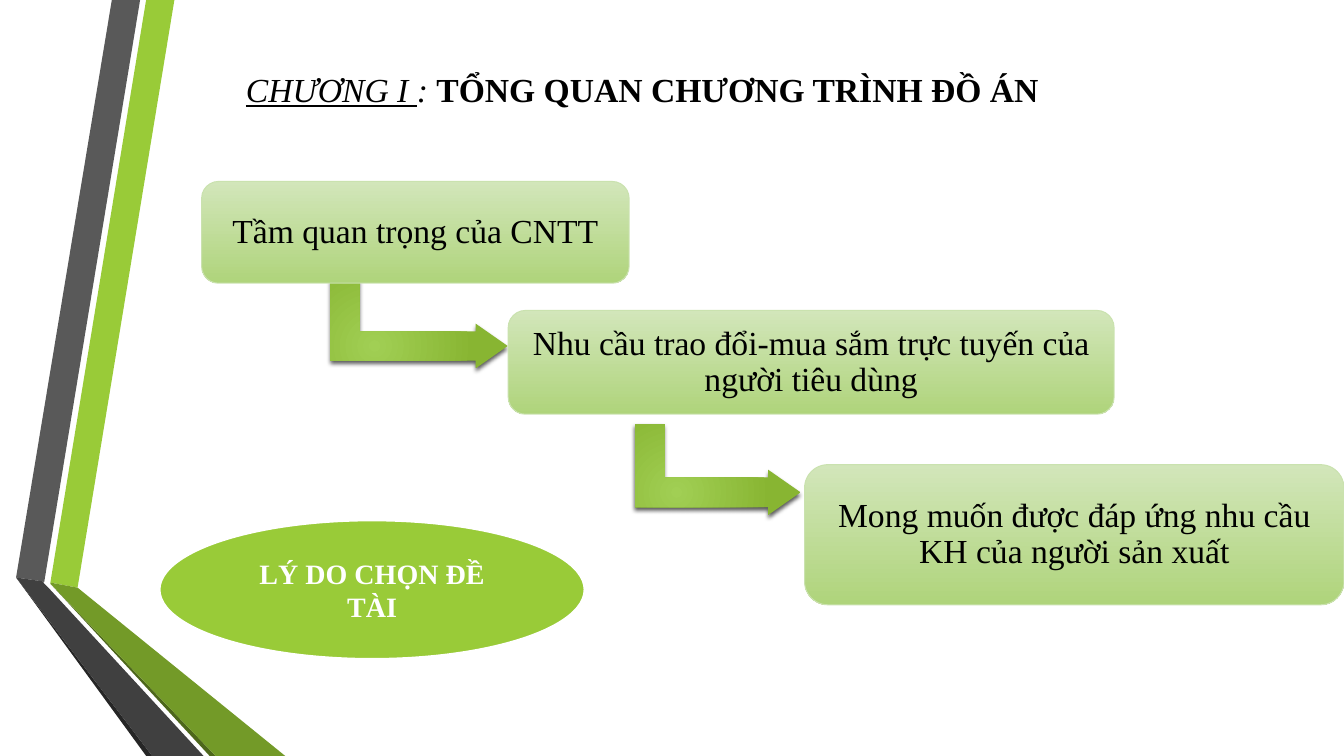
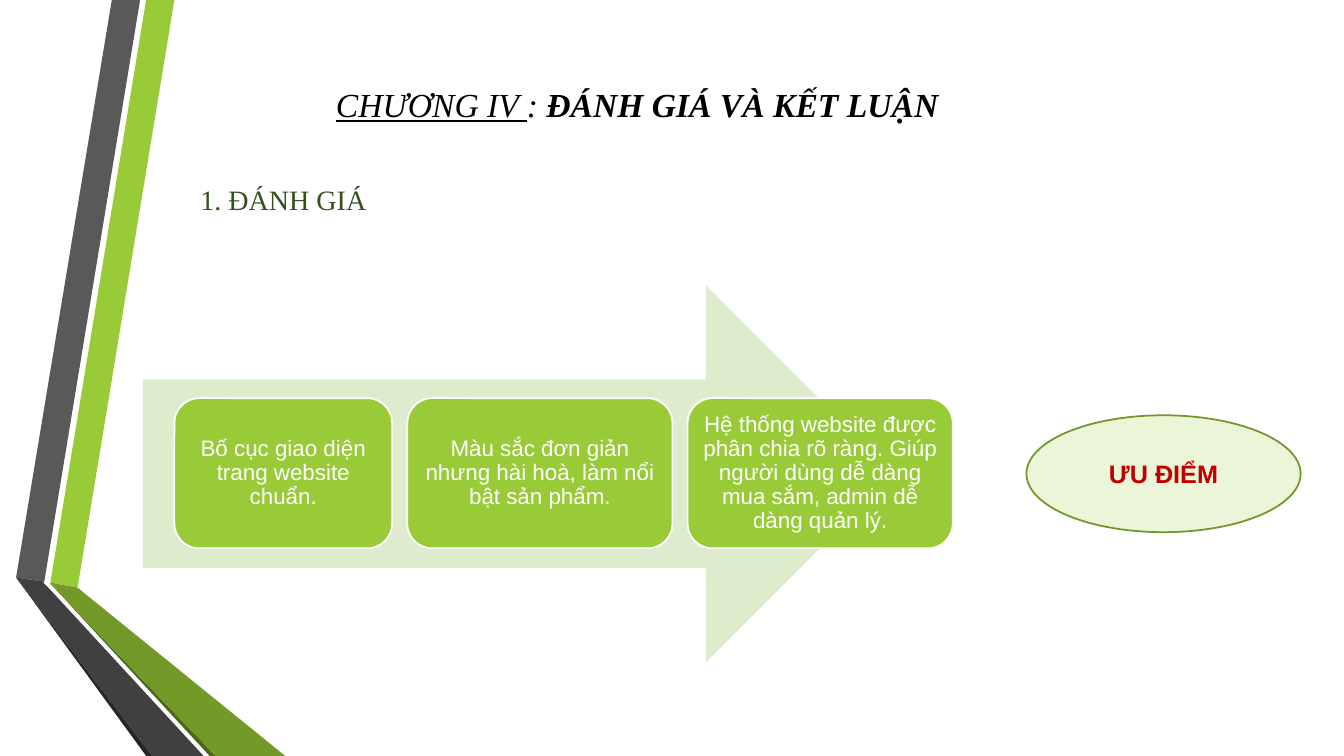
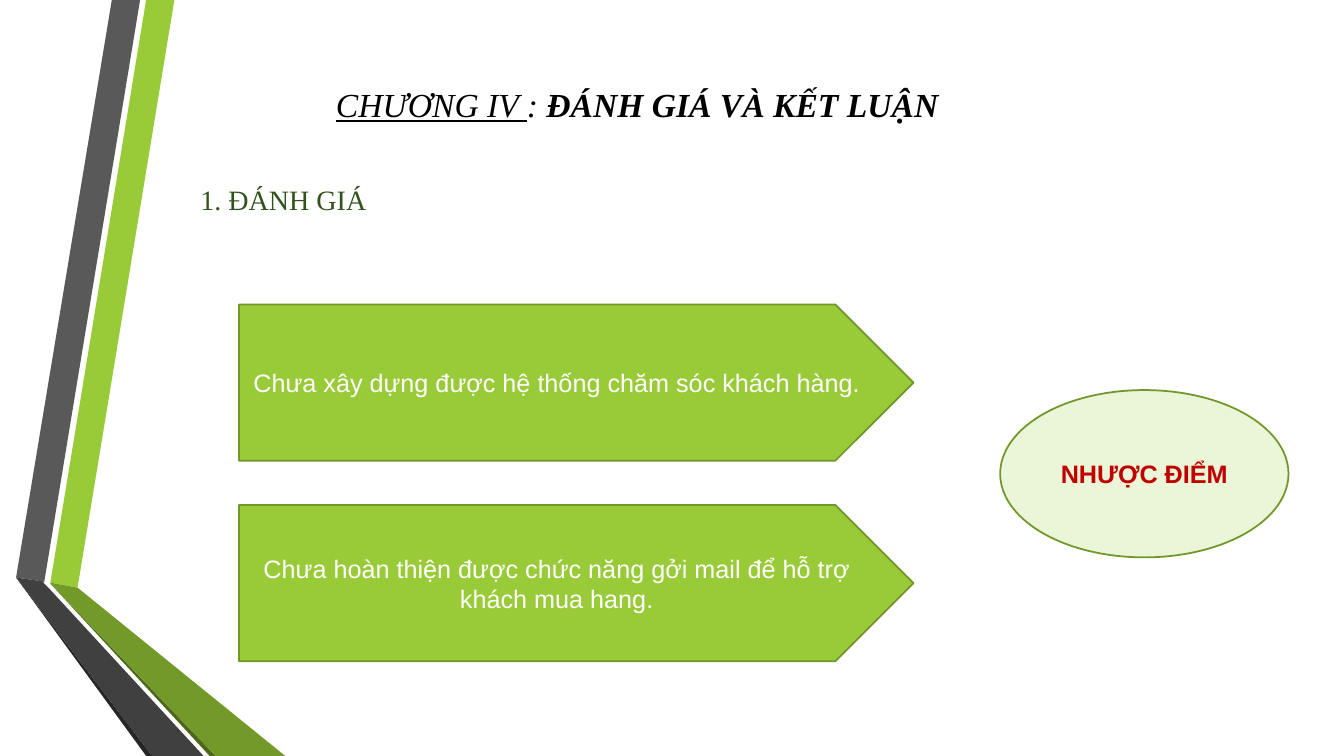
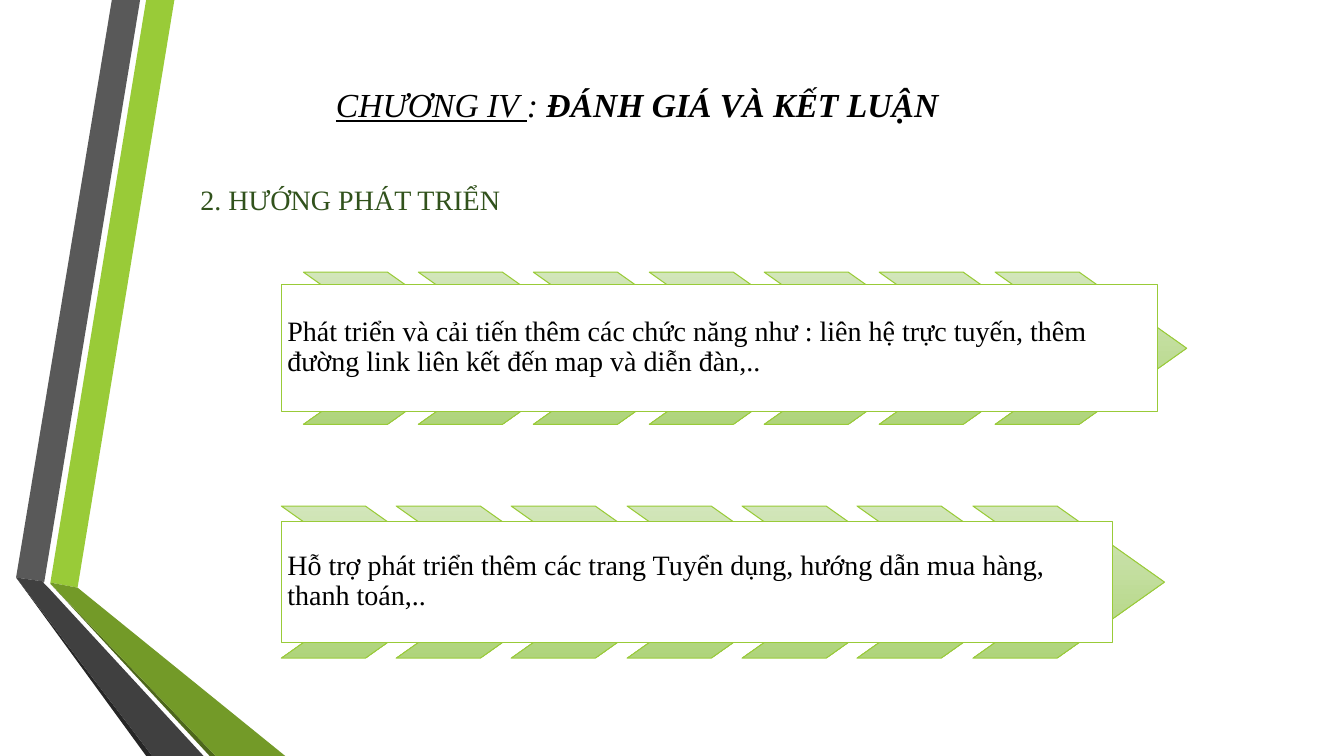
"""Build four slides on the overview, assessment and outlook of a project."""
from dataclasses import dataclass, field
from typing import Any, Optional

from lxml import etree
from pptx import Presentation
from pptx import slide as sl
from pptx import util as u
from pptx.dml.color import RGBColor
from pptx.enum import shapes, text
from pptx.oxml import ns
from pptx.shapes import autoshape

PX = 9144
WIDTH, HEIGHT = 1333, 750

BLACK = RGBColor(0x00, 0x00, 0x00)
WHITE = RGBColor(0xFF, 0xFF, 0xFF)
GREEN = RGBColor(0x99, 0xCB, 0x38)
GREEN_EDGE = RGBColor(0x71, 0x96, 0x29)
GREEN_FOLD = RGBColor(0x73, 0x9A, 0x28)
GREEN_SHADE = RGBColor(0x4D, 0x67, 0x1B)
GREEN_HEADING = RGBColor(0x31, 0x52, 0x1C)
GREEN_PALE = RGBColor(0xDE, 0xEC, 0xCE)
GREEN_OVAL = RGBColor(0xEB, 0xF5, 0xD7)
GREEN_RIM = RGBColor(0xCA, 0xE2, 0xAF)
GREY = RGBColor(0x59, 0x59, 0x59)
GREY_FOLD = RGBColor(0x40, 0x40, 0x40)
GREY_SHADE = RGBColor(0x26, 0x26, 0x26)
RED = RGBColor(0xC0, 0x00, 0x00)
SOFT = (RGBColor(0xD2, 0xE6, 0xBA), RGBColor(0xAF, 0xD4, 0x7B))
VIVID = (RGBColor(0xA1, 0xCF, 0x54), RGBColor(0x88, 0xB5, 0x32))

SERIF, SANS = "Times New Roman", "Arial"
KIND = shapes.MSO_SHAPE
LEFT, CENTER = text.PP_ALIGN.LEFT, text.PP_ALIGN.CENTER
TOP, MIDDLE = text.MSO_ANCHOR.TOP, text.MSO_ANCHOR.MIDDLE


@dataclass(frozen=True)
class Box:
    x: int
    y: int
    w: int
    h: int

    def emu(self) -> tuple[int, ...]:
        """Return the box in EMU."""
        return tuple(v * PX for v in (self.x, self.y, self.w, self.h))


@dataclass(frozen=True)
class Run:
    text: str
    size: int
    color: RGBColor
    font: str = SERIF
    fmt: dict[str, Any] = field(default_factory=dict)


@dataclass(frozen=True)
class Layout:
    align: Any = CENTER
    anchor: Any = MIDDLE
    spacing: float = 1.0
    inset: tuple[int, int] = (10, 5)


@dataclass(frozen=True)
class Look:
    fill: Any
    line: Optional[RGBColor] = None
    width: float = 0.75


@dataclass(frozen=True)
class Band:
    color: RGBColor
    points: tuple[tuple[int, int], ...]


BANDS = (
    Band(GREEN, ((50, 578), (77, 583), (173, 0), (145, 0))),
    Band(GREY, ((139, 0), (111, 0), (16, 573), (44, 577))),
    Band(GREY_SHADE, ((16, 573), (145, 750), (151, 750))),
    Band(GREEN_SHADE, ((50, 579), (208, 750), (214, 750))),
    Band(GREEN_FOLD, ((50, 579), (214, 750), (283, 750), (77, 583), (50, 578))),
    Band(GREY_FOLD, ((202, 750), (48, 583), (43, 578), (44, 577), (16, 573), (151, 750))),
)
CARD = Look(SOFT, GREEN_RIM)
CHEVRON = Look(SOFT, GREEN)
PANEL = Look(WHITE, GREEN)
PLATE = Look(GREEN, GREEN_EDGE, 1.25)
OVAL = Look(GREEN_OVAL, GREEN_EDGE, 1.25)
TILE = Look(GREEN, WHITE, 1.25)
TIGHT = Layout(spacing=0.9, inset=(10, 10))
TITLE_BOX = Box(153, 63, 958, 80)


def write(sp: autoshape.Shape, runs: tuple[Run, ...], layout: Layout) -> None:
    """Fill a shape with one paragraph of runs."""
    tf = sp.text_frame
    dx, dy = (v * PX for v in layout.inset)
    frame = {"word_wrap": True, "vertical_anchor": layout.anchor, "margin_left": dx,
             "margin_right": dx, "margin_top": dy, "margin_bottom": dy}
    for name, value in frame.items():
        setattr(tf, name, value)
    p = tf.paragraphs[0]
    p.alignment, p.line_spacing = layout.align, layout.spacing
    for run in runs:
        r = p.add_run()
        r.text = run.text
        r.font.color.rgb = run.color
        for name, value in {"name": run.font, "size": u.Pt(run.size), **run.fmt}.items():
            setattr(r.font, name, value)


def paint(sp: autoshape.Shape, look: Look) -> None:
    """Apply a plain or gradient fill and an optional outline."""
    sp.shadow.inherit = False
    if isinstance(look.fill, RGBColor):
        sp.fill.solid()
        sp.fill.fore_color.rgb = look.fill
    else:
        sp.fill.gradient()
        sp.fill.gradient_angle = 270
        for stop, color in zip(sp.fill.gradient_stops, look.fill):
            stop.color.rgb = color
    if look.line is None:
        sp.line.fill.background()
    else:
        sp.line.color.rgb = look.line
        sp.line.width = u.Pt(look.width)


def add(s: sl.Slide, kind: Any, box: Box, look: Look, runs: tuple[Run, ...] = (),
        layout: Layout = Layout(), adj: tuple[float, ...] = ()) -> autoshape.Shape:
    """Add a painted preset shape with optional text."""
    sp = s.shapes.add_shape(kind, *box.emu())
    for i, value in enumerate(adj):
        sp.adjustments[i] = value
    paint(sp, look)
    if runs:
        write(sp, runs, layout)
    return sp


def add_text(s: sl.Slide, box: Box, runs: tuple[Run, ...], layout: Layout) -> None:
    """Add a text box."""
    write(s.shapes.add_textbox(*box.emu()), runs, layout)


def add_elbow(s: sl.Slide, box: Box) -> None:
    """Add a turned arrow with a radial gradient and a soft shadow."""
    sp = add(s, KIND.BENT_UP_ARROW, box, Look(VIVID), adj=(0.328, 0.25, 0.358))
    sp.rotation = 90
    props = sp._element.spPr
    grad = props.find(ns.qn("a:gradFill"))
    grad.remove(grad.find(ns.qn("a:lin")))
    radial = etree.SubElement(grad, ns.qn("a:path"), {"path": "circle"})
    etree.SubElement(radial, ns.qn("a:fillToRect"),
                     {"l": "50000", "t": "100000", "r": "100000", "b": "50000"})
    shadow = etree.SubElement(
        props.find(ns.qn("a:effectLst")), ns.qn("a:outerShdw"),
        {"blurRad": "38100", "dist": "25400", "dir": "5400000", "rotWithShape": "0"})
    shade = etree.SubElement(shadow, ns.qn("a:srgbClr"), {"val": str(BLACK)})
    etree.SubElement(shade, ns.qn("a:alpha"), {"val": "64000"})


def start(prs: Any, chapter: str, topic: str, box: Box = TITLE_BOX,
          italic: bool = True) -> sl.Slide:
    """Add a slide with the side bands and the chapter title."""
    s = prs.slides.add_slide(prs.slide_layouts[6])
    for band in BANDS:
        builder = s.shapes.build_freeform(*band.points[0], scale=PX)
        builder.add_line_segments(band.points[1:], close=True)
        paint(builder.convert_to_shape(), Look(band.color))
    add_text(s, box, (
        Run(chapter, 24, BLACK, fmt={"italic": True, "underline": True}),
        Run(": ", 24, BLACK, fmt={"italic": True}),
        Run(topic, 24, BLACK, fmt={"italic": italic, "bold": True}),
    ), Layout())
    return s


def start_closing(prs: Any, heading: str) -> sl.Slide:
    """Add a slide of the closing chapter with its heading."""
    s = start(prs, "CHƯƠNG IV ", "ĐÁNH GIÁ VÀ KẾT LUẬN")
    add_text(s, Box(189, 176, 587, 44), (Run(heading, 20, GREEN_HEADING),), Layout(LEFT, TOP))
    return s


def add_verdict(s: sl.Slide, box: Box, label: str) -> None:
    """Add the oval that names the kind of assessment."""
    add(s, KIND.OVAL, box, OVAL, (Run(label, 18, RED, SANS, {"bold": True}),))


def reasons(prs: Any) -> None:
    """Build the slide on why the topic was chosen."""
    s = start(prs, "CHƯƠNG I ", "TỔNG QUAN CHƯƠNG TRÌNH ĐỒ ÁN", Box(158, 48, 958, 80), False)
    for box in (Box(371, 233, 89, 176), Box(667, 384, 90, 164)):
        add_elbow(s, box)
    for box, label in (
        (Box(200, 180, 424, 101), "Tầm quan trọng của CNTT"),
        (Box(504, 308, 601, 103), "Nhu cầu trao đổi-mua sắm trực tuyến của người tiêu dùng"),
        (Box(798, 461, 535, 139), "Mong muốn được đáp ứng nhu cầu KH của người sản xuất"),
    ):
        add(s, KIND.ROUNDED_RECTANGLE, box, CARD, (Run(label, 24, BLACK),), TIGHT)
    add(s, KIND.OVAL, Box(158, 516, 422, 138), Look(GREEN, WHITE, 1.75),
        (Run("LÝ DO CHỌN ĐỀ TÀI", 20, WHITE, fmt={"bold": True}),))


def strengths(prs: Any) -> None:
    """Build the slide on strengths."""
    s = start_closing(prs, "1. ĐÁNH GIÁ")
    add(s, KIND.RIGHT_ARROW, Box(142, 283, 745, 374), Look(GREEN_PALE))
    x, gap = 173, 15
    for width, label in (
        (216, "Bố cục giao diện trang website chuẩn."),
        (263, "Màu sắc đơn giản nhưng hài hoà, làm nổi bật sản phẩm."),
        (263, "Hệ thống website được phân chia rõ ràng. Giúp người dùng dễ dàng mua sắm, "
              "admin dễ dàng quản lý."),
    ):
        add(s, KIND.ROUNDED_RECTANGLE, Box(x, 395, width, 149), TILE,
            (Run(label, 16, WHITE, SANS),), Layout(spacing=0.9, inset=(7, 7)))
        x += width + gap
    add_verdict(s, Box(1018, 412, 272, 116), "ƯU ĐIỂM")


def weaknesses(prs: Any) -> None:
    """Build the slide on weaknesses."""
    s = start_closing(prs, "1. ĐÁNH GIÁ")
    for y, label in (
        (302, "Chưa xây dựng được hệ thống chăm sóc khách hàng."),
        (501, "Chưa hoàn thiện được chức năng gởi mail để hỗ trợ khách mua hang."),
    ):
        add(s, KIND.PENTAGON, Box(237, y, 669, 155), PLATE, (Run(label, 18, WHITE, SANS),))
    add_verdict(s, Box(992, 387, 286, 166), "NHƯỢC ĐIỂM")


def outlook(prs: Any) -> None:
    """Build the slide on further development."""
    s = start_closing(prs, "2. HƯỚNG PHÁT TRIỂN")
    for x, y, panel, label in (
        (301, 270, Box(279, 282, 869, 126),
         "Phát triển và cải tiến thêm các chức năng như : liên hệ trực tuyến, thêm đường link "
         "liên kết đến map và diễn đàn,.."),
        (279, 502, Box(279, 517, 824, 120),
         "Hỗ trợ phát triển thêm các trang Tuyển dụng, hướng dẫn mua hàng, thanh toán,.."),
    ):
        for i in range(7):
            add(s, KIND.CHEVRON, Box(x + i * 343 // 3, y, 190, 151), CHEVRON, adj=(0.706,))
        add(s, KIND.RECTANGLE, panel, PANEL, (Run(label, 20, BLACK),),
            Layout(LEFT, spacing=0.9, inset=(6, 6)))


def main() -> None:
    """Build and save the presentation."""
    prs = Presentation()
    prs.slide_width, prs.slide_height = WIDTH * PX, HEIGHT * PX
    for build in (reasons, strengths, weaknesses, outlook):
        build(prs)
    prs.save("out.pptx")


if __name__ == "__main__":
    main()
